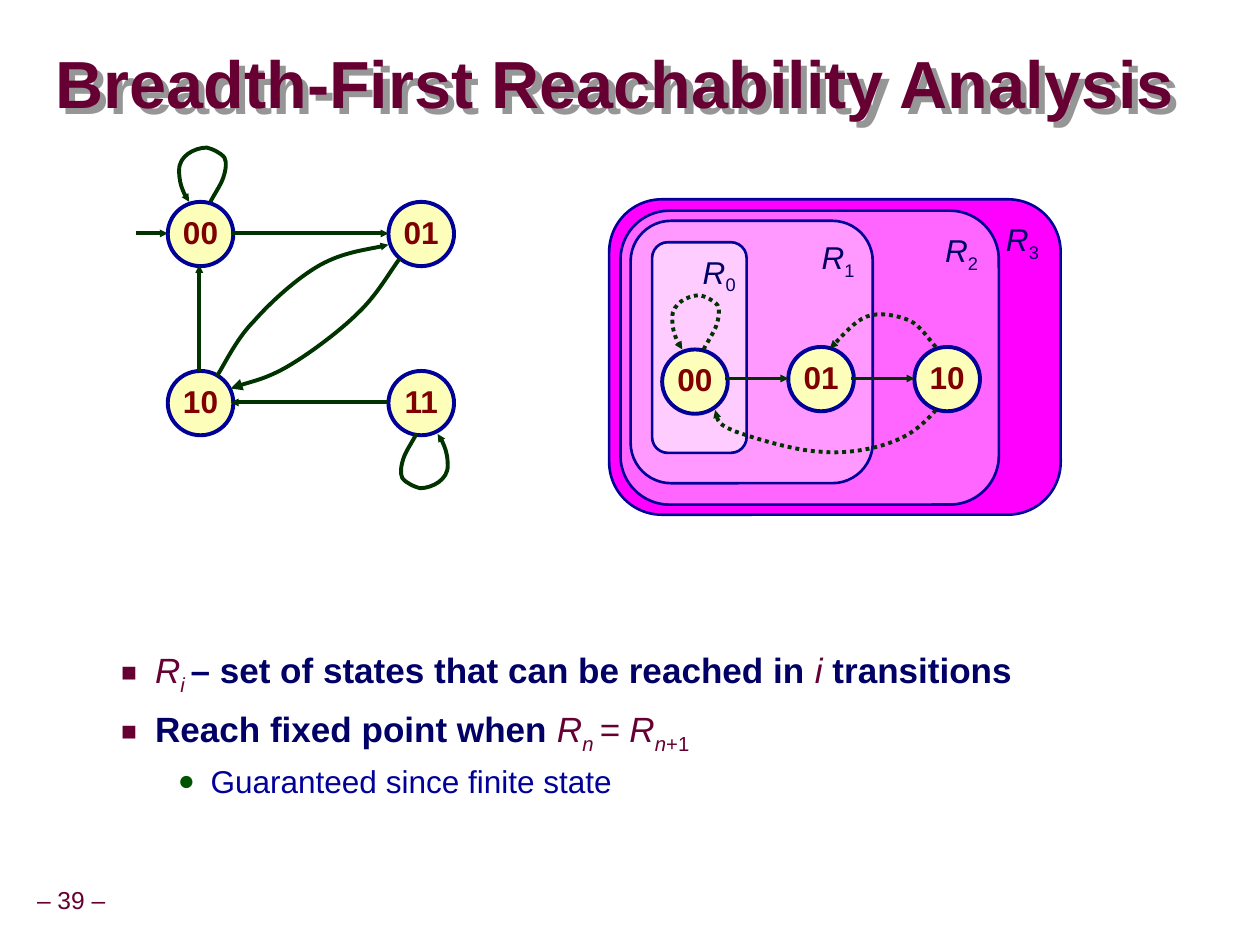
from lxml import etree
from pptx import Presentation
from pptx.dml.color import RGBColor
from pptx.enum.dml import MSO_LINE
from pptx.enum.shapes import MSO_CONNECTOR, MSO_SHAPE
from pptx.enum.text import MSO_ANCHOR, MSO_AUTO_SIZE, PP_ALIGN
from pptx.oxml.ns import qn
from pptx.util import Emu, Pt

PX = 9144
STRAIGHT = MSO_CONNECTOR.STRAIGHT
OVAL, ROUNDED = MSO_SHAPE.OVAL, MSO_SHAPE.ROUNDED_RECTANGLE
DOTTED = MSO_LINE.ROUND_DOT
TOP, MIDDLE = MSO_ANCHOR.TOP, MSO_ANCHOR.MIDDLE
LEFT, CENTER, RIGHT = PP_ALIGN.LEFT, PP_ALIGN.CENTER, PP_ALIGN.RIGHT
FIXED = MSO_AUTO_SIZE.NONE

COLORS = {
    "maroon": "660033", "navy": "000066", "blue": "000099", "red": "800000",
    "green": "003300", "bullet": "005400", "state": "FCFEB9", "shadow": "969696",
    "R0": "FFCCFF", "R1": "FF99FF", "R2": "FF66FF", "R3": "FF00FF",
}
STYLES = {
    "title": {"size": 38, "bold": True, "color": "maroon"},
    "page": {"size": 14, "color": "maroon"},
    "state": {"size": 18, "bold": True, "color": "red"},
    "set": {"size": 18, "italic": True, "color": "navy"},
    "set index": {"size": 18, "color": "navy", "sub": True},
    "words": {"size": 20, "bold": True, "color": "navy"},
    "symbol": {"size": 20, "italic": True, "color": "maroon"},
    "index": {"size": 20, "italic": True, "color": "maroon", "sub": True},
    "plain index": {"size": 20, "color": "maroon", "sub": True},
    "detail": {"size": 18, "color": "blue"},
}
BULLETS = {
    1: {"char": "■", "color": "maroon", "size": 75, "left": 81, "indent": -27, "before": 6.2, "spacing": 1.0},
    2: {"char": "●", "color": "bullet", "size": 90, "left": 125, "indent": -26, "before": 2.2, "spacing": 1.07},
}
LOOP = [(0, 0), (1, -3), (8, -13), (10, -19), (12, -25), (13, -31), (11, -35),
        (8, -39), (1, -42), (-3, -43), (-8, -43), (-14, -41), (-18, -38),
        (-22, -35), (-25, -31), (-25, -25), (-25, -18), (-23, -8), (-17, 0)]


def rgb(name):
    """Return the named colour."""
    return RGBColor.from_string(COLORS[name])


def box(*lengths):
    """Turn px lengths into EMU."""
    return [Emu(v * PX) for v in lengths]


def add_runs(p, runs):
    """Add (text, style name) runs to a paragraph."""
    for text, style in runs:
        r = p.add_run()
        r.text = text
        fmt = STYLES[style]
        values = {"name": "Arial", "size": Pt(fmt["size"]),
                  "bold": fmt.get("bold", False), "italic": fmt.get("italic", False)}
        for key, value in values.items():
            setattr(r.font, key, value)
        r.font.color.rgb = rgb(fmt["color"])
        if fmt.get("sub"):
            r._r.get_or_add_rPr().set("baseline", "-25000")


def set_frame(tf, anchor, wrap, margins):
    """Set the anchor, wrapping and margins of a text frame."""
    values = {"auto_size": FIXED, "word_wrap": wrap, "vertical_anchor": anchor}
    for side, margin in zip(("left", "top", "right", "bottom"), margins):
        values["margin_" + side] = Emu(margin * PX)
    for key, value in values.items():
        setattr(tf, key, value)


def fill_text(sp, runs, align, anchor=MIDDLE, wrap=False, margin=5, spacing=0.9):
    """Write a single formatted paragraph into a shape."""
    tf = sp.text_frame
    set_frame(tf, anchor, wrap, [margin] * 4)
    p = tf.paragraphs[0]
    p.alignment, p.line_spacing = align, spacing
    add_runs(p, runs)


def place(sp, left, top, width, height):
    """Move and size a placeholder."""
    for key, value in zip(("left", "top", "width", "height"), box(left, top, width, height)):
        setattr(sp, key, value)


def add_filled(s, kind, bounds, fill, weight):
    """Add a filled shape with a blue outline."""
    sp = s.shapes.add_shape(kind, *box(*bounds))
    sp.shadow.inherit = False
    sp.fill.solid()
    sp.fill.fore_color.rgb = rgb(fill)
    sp.line.color.rgb = rgb("blue")
    sp.line.width = Pt(weight)
    return sp


def add_state(s, label, left, top):
    """Add a state circle."""
    sp = add_filled(s, OVAL, (left, top, 52, 51), "state", 2.25)
    fill_text(sp, [(label, "state")], CENTER)


def add_region(s, number, bounds):
    """Add one nested set of reachable states."""
    sp = add_filled(s, ROUNDED, bounds, f"R{number}", 1.5)
    sp.adjustments[0] = 0.167
    fill_text(sp, [("R", "set"), (str(number), "set index")], RIGHT, TOP, True)


def style_arrow(line, size="sm", dash=None):
    """Give a line its colour, width, dash and arrowhead."""
    line.color.rgb = rgb("green")
    line.width = Pt(2.25)
    if dash:
        line.dash_style = dash
    etree.SubElement(line._get_or_add_ln(), qn("a:tailEnd"), type="triangle", w=size, len=size)


def add_arrow(s, *ends):
    """Add a straight arrow."""
    c = s.shapes.add_connector(STRAIGHT, *box(*ends))
    etree.SubElement(c._element.spPr, qn("a:effectLst"))
    style_arrow(c.line)


def add_curve(s, points, dash=None, size="sm"):
    """Add a curved arrow through Bezier points."""
    builder = s.shapes.build_freeform(*points[0], scale=PX)
    builder.add_line_segments(points[1:], close=False)
    sp = builder.convert_to_shape()
    sp.shadow.inherit = False
    sp.fill.background()
    style_arrow(sp.line, size, dash)
    segments = list(sp._element.iter(qn("a:lnTo")))
    for i in range(0, len(segments), 3):
        curve = etree.Element(qn("a:cubicBezTo"))
        segments[i].addprevious(curve)
        for segment in segments[i:i + 3]:
            curve.append(segment[0])
            segment.getparent().remove(segment)


def add_loop(s, x, y, sign=1, dash=None):
    """Add a self-loop, turned upside down when sign is -1."""
    add_curve(s, [(x + sign * dx, y + sign * dy) for dx, dy in LOOP], dash)


def add_title(s, text):
    """Fill the title and give it a shadow."""
    sp = s.shapes.title
    place(sp, 44, 27, 952, 85)
    fill_text(sp, [(text, "title")], LEFT, wrap=True, margin=0, spacing=0.87)
    effects = etree.SubElement(sp._element.spPr, qn("a:effectLst"))
    shadow = etree.SubElement(effects, qn("a:outerShdw"), dist=str(7 * PX), dir="2700000", algn="ctr")
    etree.SubElement(shadow, qn("a:srgbClr"), val=COLORS["shadow"])


def add_bullets(s, items):
    """Fill the body with (level, runs) items."""
    sp = s.placeholders[1]
    place(sp, 32, 509, 907, 195)
    tf = sp.text_frame
    set_frame(tf, TOP, True, (10, 5, 10, 5))
    for i, (level, runs) in enumerate(items):
        p = tf.add_paragraph() if i else tf.paragraphs[0]
        fmt = BULLETS[level]
        p.level, p.alignment, p.line_spacing = level, LEFT, fmt["spacing"]
        p.space_before = Pt(fmt["before"] if i else 0)
        pPr = p._p.get_or_add_pPr()
        pPr.set("marL", str(fmt["left"] * PX))
        pPr.set("indent", str(fmt["indent"] * PX))
        color = etree.SubElement(pPr, qn("a:buClr"))
        etree.SubElement(color, qn("a:srgbClr"), val=COLORS[fmt["color"]])
        etree.SubElement(pPr, qn("a:buSzPct"), val=str(fmt["size"] * 1000))
        etree.SubElement(pPr, qn("a:buFont"), typeface="Arial")
        etree.SubElement(pPr, qn("a:buChar"), char=fmt["char"])
        add_runs(p, runs)


def add_state_graph(s):
    """Draw the state graph on the left."""
    for label, x, y in (("00", 133, 160), ("10", 133, 294), ("01", 308, 160), ("11", 308, 294)):
        add_state(s, label, x, y)
    add_loop(s, 167, 160)
    add_loop(s, 330, 344, -1)
    for ends in ((183, 185, 308, 185), (308, 319, 183, 319), (158, 294, 158, 210), (108, 185, 133, 185)):
        add_arrow(s, *ends)
    add_curve(s, [(172, 298), (177, 291), (187, 269), (201, 255), (214, 240),
                  (236, 220), (254, 210), (272, 200), (297, 197), (308, 194)])
    add_curve(s, [(317, 205), (310, 214), (299, 234), (284, 248), (270, 262),
                  (246, 280), (229, 290), (212, 300), (190, 305), (183, 308)], size="med")


def add_reachable_sets(s):
    """Draw the nested reachable sets on the right."""
    for number, bounds in ((3, (483, 158, 358, 250)), (2, (492, 167, 300, 233)),
                           (1, (500, 175, 192, 208)), (0, (517, 192, 75, 167))):
        add_region(s, number, bounds)
    for label, x, y in (("00", 525, 277), ("01", 625, 275), ("10", 725, 275)):
        add_state(s, label, x, y)
    add_loop(s, 558, 277, dash=DOTTED)
    for x in (575, 675):
        add_arrow(s, x, 300, x + 50, 300)
    add_curve(s, [(742, 275), (738, 271), (730, 258), (721, 254), (712, 250),
                  (697, 247), (687, 251), (677, 255), (664, 271), (658, 276)], DOTTED)
    add_curve(s, [(742, 325), (733, 335), (724, 344), (708, 350), (693, 356), (671, 360), (650, 358),
                  (629, 357), (597, 347), (583, 342), (569, 336), (568, 331), (567, 325)], DOTTED)


def main():
    """Build and save the slide."""
    prs = Presentation()
    prs.slide_width, prs.slide_height = box(999, 749)
    s = prs.slides.add_slide(prs.slide_layouts[1])
    add_title(s, "Breadth-First Reachability Analysis")
    add_bullets(s, [
        (1, [("R", "symbol"), ("i ", "index"), ("– set of states that can be reached in ", "words"),
             ("i ", "symbol"), ("transitions", "words")]),
        (1, [("Reach fixed point when ", "words"), ("R", "symbol"), ("n ", "index"),
             ("= R", "symbol"), ("n", "index"), ("+1", "plain index")]),
        (2, [("Guaranteed since finite state", "detail")]),
    ])
    add_state_graph(s)
    add_reachable_sets(s)
    page = s.shapes.add_textbox(*box(-9, 699, 131, 31))
    fill_text(page, [("– 39 –", "page")], CENTER)
    prs.save("out.pptx")


if __name__ == "__main__":
    main()
